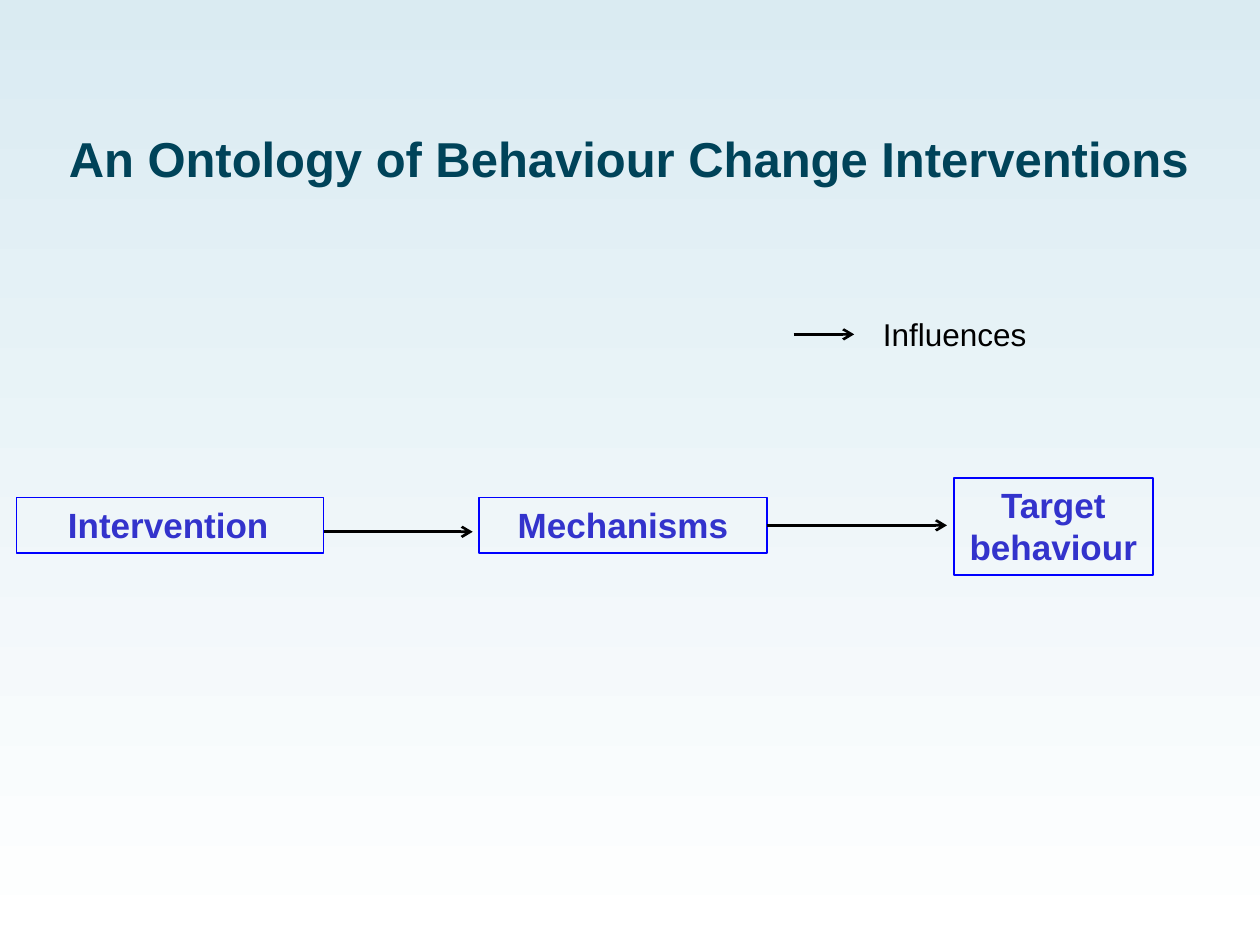
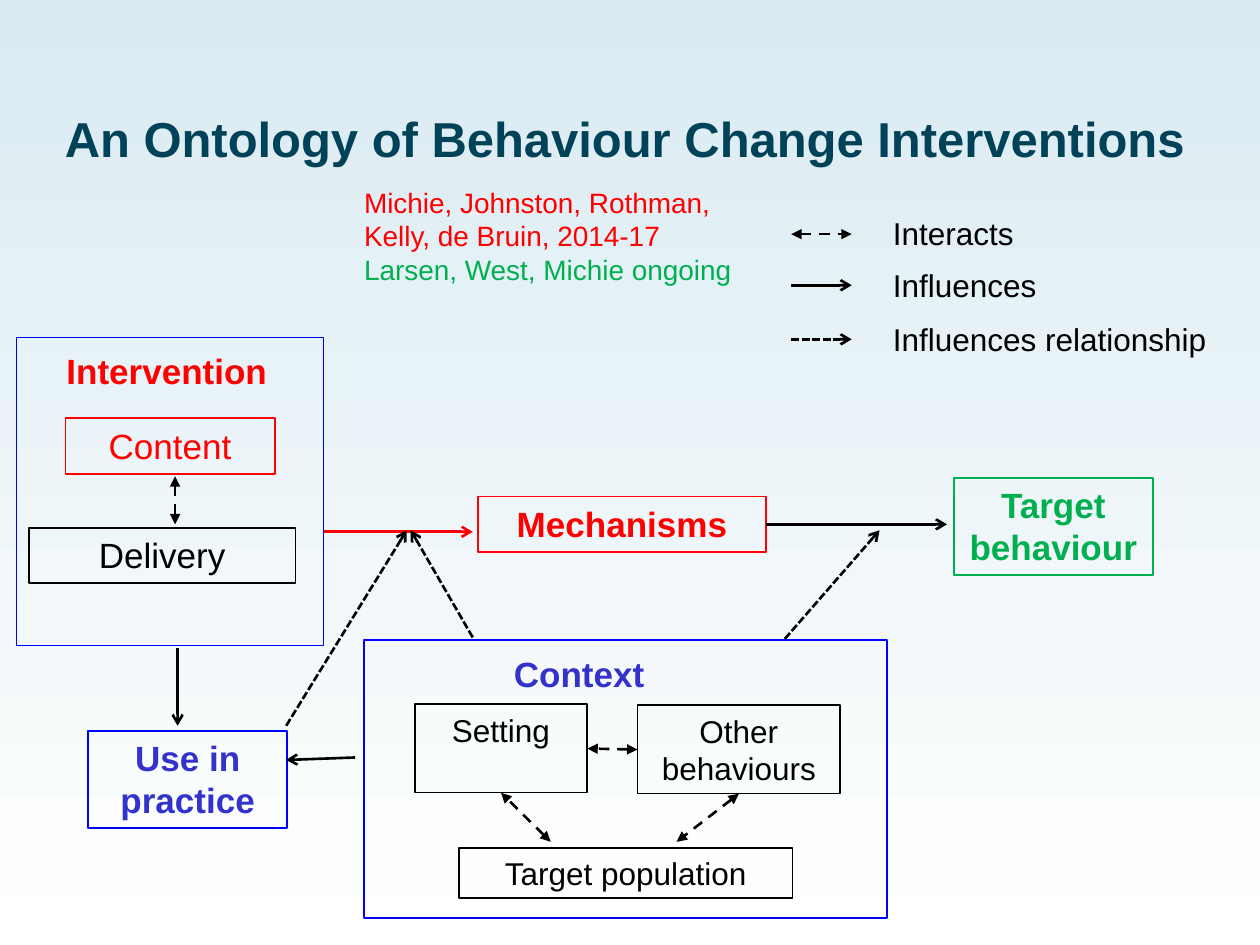
import lxml.etree
import pptx
import pptx.dml.color
import pptx.enum.dml
import pptx.enum.shapes
import pptx.enum.text
import pptx.oxml.ns
import pptx.util

Cm = pptx.util.Cm
Pt = pptx.util.Pt
RGBColor = pptx.dml.color.RGBColor
ALIGN = pptx.enum.text.PP_ALIGN
ANCHOR = pptx.enum.text.MSO_ANCHOR
DASH = pptx.enum.dml.MSO_LINE
qn = pptx.oxml.ns.qn

# Shared look
FONT = "Arial"
TITLE = "An Ontology of Behaviour Change Interventions"
SKY = RGBColor(0xDA, 0xEB, 0xF2)
WHITE = RGBColor(0xFF, 0xFF, 0xFF)
TEAL = RGBColor(0x00, 0x43, 0x59)
BLACK = RGBColor(0x00, 0x00, 0x00)
BLUE = RGBColor(0x00, 0x00, 0xFF)
INDIGO = RGBColor(0x33, 0x33, 0xCC)
RED = RGBColor(0xFF, 0x00, 0x00)
GREEN = RGBColor(0x00, 0xB0, 0x50)

# Sides of a rectangle for connectors
LEFT, BOTTOM, RIGHT = 1, 2, 3

# Heights of boxes, in cm
ONE_LINE = 1.12
TWO_LINES = 1.96


def set_background(master):
    fill = master.background.fill
    fill.gradient()
    fill.gradient_angle = 270
    for stop, color in zip(fill.gradient_stops, (SKY, WHITE)):
        stop.color.rgb = color


def format_paragraph(paragraph, size, color, bold=False, align=ALIGN.LEFT):
    paragraph.alignment = align
    for run in paragraph.runs:
        run.font.name = FONT
        run.font.size = Pt(size)
        run.font.bold = bold
        run.font.color.rgb = color


def add_slide(presentation, title_left, title_top, title_height):
    """Add a slide with the shared title at the given place."""
    slide = presentation.slides.add_slide(presentation.slide_layouts[5])
    title = slide.shapes.title
    title.left, title.top = Cm(title_left), Cm(title_top)
    title.width, title.height = Cm(23.57), Cm(title_height)
    text_frame = title.text_frame
    text_frame.text = TITLE
    text_frame.vertical_anchor = ANCHOR.TOP
    text_frame.margin_top = Cm(0.25)
    format_paragraph(text_frame.paragraphs[0], 28, TEAL, True, ALIGN.CENTER)
    return slide


def add_box(slide, left, top, width, height, line_color, text="",
            text_color=BLACK, size=20, bold=False, weight=1):
    """Add an outlined, unfilled rectangle with centred text."""
    box = slide.shapes.add_shape(
        pptx.enum.shapes.MSO_SHAPE.RECTANGLE,
        Cm(left), Cm(top), Cm(width), Cm(height))
    box.shadow.inherit = False
    box.fill.background()
    box.line.color.rgb = line_color
    box.line.width = Pt(weight)
    if text:
        text_frame = box.text_frame
        text_frame.word_wrap = True
        text_frame.vertical_anchor = ANCHOR.TOP
        text_frame.text = text
        format_paragraph(text_frame.paragraphs[0], size, text_color, bold,
                         ALIGN.CENTER)
    return box


def add_frame(slide, left, top, width, height):
    return add_box(slide, left, top, width, height, BLUE, weight=0.75)


def add_label(slide, left, top, width, height, text, colors, size,
              bold=False, wrap=True):
    """Add plain text, with one colour for each paragraph."""
    label = slide.shapes.add_textbox(Cm(left), Cm(top), Cm(width), Cm(height))
    text_frame = label.text_frame
    text_frame.word_wrap = wrap
    text_frame.text = text
    for paragraph, color in zip(text_frame.paragraphs, colors):
        format_paragraph(paragraph, size, color, bold)


def add_arrow(slide, start, end, color=BLACK, dash=None, both_ends=False):
    """Draw an arrow; an end is a point in cm or a (box, side) pair."""
    connector = slide.shapes.add_connector(
        pptx.enum.shapes.MSO_CONNECTOR.STRAIGHT, 0, 0, 0, 0)
    if isinstance(start[0], (int, float)):
        connector.begin_x, connector.begin_y = Cm(start[0]), Cm(start[1])
    else:
        connector.begin_connect(*start)
    if isinstance(end[0], (int, float)):
        connector.end_x, connector.end_y = Cm(end[0]), Cm(end[1])
    else:
        connector.end_connect(*end)
    connector.line.color.rgb = color
    connector.line.width = Pt(1.5)
    if dash is not None:
        connector.line.dash_style = dash
    # Arrowheads, and no shadow
    properties = connector._element.spPr
    line = properties.find(qn("a:ln"))
    head_type = "triangle" if both_ends else "arrow"
    for tag in ("a:headEnd", "a:tailEnd") if both_ends else ("a:tailEnd",):
        lxml.etree.SubElement(line, qn(tag)).set("type", head_type)
    lxml.etree.SubElement(properties, qn("a:effectLst"))


def add_interaction(slide, start, end):
    add_arrow(slide, start, end, dash=DASH.DASH, both_ends=True)


def add_moderation(slide, start, end):
    add_arrow(slide, start, end, dash=DASH.SQUARE_DOT)


def add_legend_entry(slide, draw_arrow, arrow_left, text_left, top, width,
                     text):
    middle = top + 0.52
    draw_arrow(slide, (arrow_left, middle), (arrow_left + 1.22, middle))
    add_label(slide, text_left, top, width, 1.02, text, [BLACK], 18,
              wrap=False)


def add_outcome_chain(slide, left, top, mechanism_line, mechanism_text,
                      target_line, target_text, first_arrow):
    """Add intervention arrow, mechanisms and target behaviour."""
    mechanisms = add_box(slide, left, top, 5.82, ONE_LINE, mechanism_line,
                         "Mechanisms", mechanism_text, bold=True)
    add_box(slide, 19.23, 9.63, 4.01, TWO_LINES, target_line,
            "Target behaviour", target_text, bold=True)
    add_arrow(slide, (6.53, 10.72), (9.53, 10.72), first_arrow)
    add_arrow(slide, (mechanisms, RIGHT), (19.09, top + ONE_LINE / 2))


def build_simple_model(presentation):
    slide = add_slide(presentation, 0.89, 2.34, 2.49)
    add_outcome_chain(slide, 9.65, 10.03, BLUE, INDIGO, BLUE, INDIGO, BLACK)
    add_frame(slide, 0.33, 10.03, 6.2, ONE_LINE)
    add_label(slide, 1.12, 10.03, 5, ONE_LINE, "Intervention", [INDIGO], 20,
              bold=True)
    add_legend_entry(slide, add_arrow, 16, 17.55, 6.22, 3.4, "Influences")


def build_full_model(presentation):
    slide = add_slide(presentation, 0.81, 1.93, 2.29)
    add_outcome_chain(slide, 9.63, 10.01, RED, RED, GREEN, GREEN, RED)

    # Intervention
    add_frame(slide, 0.33, 6.81, 6.2, 6.2)
    add_label(slide, 1.09, 6.93, 5, ONE_LINE, "Intervention", [RED], 20,
              bold=True)
    add_box(slide, 1.32, 8.43, 4.22, ONE_LINE, RED, "Content", RED)
    add_box(slide, 0.58, 10.64, 5.38, ONE_LINE, BLACK, "Delivery")
    add_interaction(slide, (3.53, 10.57), (3.53, 9.6))

    # Context
    add_frame(slide, 7.34, 12.9, 10.54, 5.61)
    add_label(slide, 10.11, 13.03, 4.6, ONE_LINE, "Context", [INDIGO], 20,
              bold=True)
    setting = add_box(slide, 8.36, 14.2, 3.48, 1.78, BLACK, "Setting", size=18)
    others = add_box(slide, 12.85, 14.22, 4.09, 1.78, BLACK,
                     "Other behaviours", size=18)
    add_box(slide, 9.25, 17.09, 6.73, 1.02, BLACK, "Target population",
            size=18)
    add_interaction(slide, (others, LEFT), (setting, RIGHT))
    add_interaction(slide, (11.1, 16.97), (setting, BOTTOM))
    add_interaction(slide, (others, BOTTOM), (13.64, 16.97))

    # Use in practice
    add_box(slide, 1.78, 14.73, 4.01, TWO_LINES, BLUE, "Use in practice",
            INDIGO, bold=True)
    add_arrow(slide, (7.16, 15.27), (5.77, 15.32))
    add_arrow(slide, (3.58, 13.06), (3.58, 14.63))

    # Influences on the relationships
    add_moderation(slide, (5.77, 14.63), (8.2, 10.69))
    add_moderation(slide, (9.53, 12.85), (8.28, 10.69))
    add_moderation(slide, (15.82, 12.88), (17.73, 10.69))

    # Authors and legend
    add_label(slide, 7.09, 3.61, 8.31, 2.29,
              "Michie, Johnston, Rothman, Kelly, de Bruin, 2014-17\n"
              "Larsen, West, Michie ongoing", [RED, GREEN], 16)
    for draw_arrow, top, width, text in (
            (add_interaction, 4.2, 2.95, "Interacts"),
            (add_arrow, 5.23, 3.4, "Influences"),
            (add_moderation, 6.32, 6.83, "Influences relationship")):
        add_legend_entry(slide, draw_arrow, 15.95, 17.75, top, width, text)


def main():
    presentation = pptx.Presentation()
    presentation.slide_width = Cm(25.4)
    presentation.slide_height = Cm(19.05)
    set_background(presentation.slide_master)
    build_simple_model(presentation)
    build_full_model(presentation)
    presentation.save("out.pptx")


if __name__ == "__main__":
    main()
